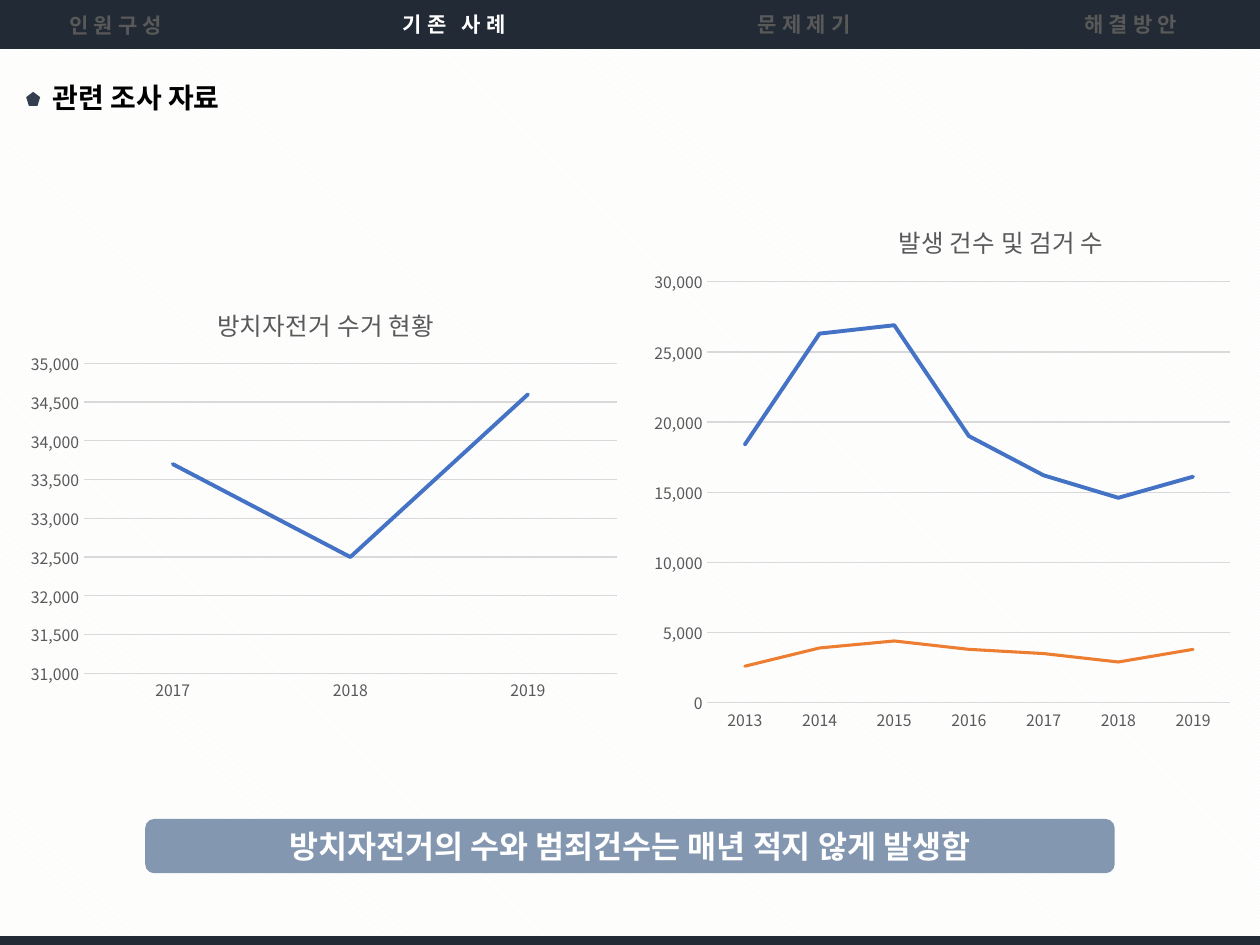
from lxml.etree import SubElement
from pptx import Presentation
from pptx.chart.data import CategoryChartData as Data
from pptx.dml.color import RGBColor
from pptx.enum.chart import XL_CHART_TYPE as Kind, XL_TICK_MARK as Tick
from pptx.enum.dml import MSO_PATTERN as Pattern
from pptx.enum.shapes import MSO_SHAPE as Form
from pptx.enum.text import MSO_ANCHOR as Anchor, PP_ALIGN as Align
from pptx.oxml import parse_xml
from pptx.oxml.ns import nsdecls, qn
from pptx.util import Pt

FACE = "Noto Sans CJK KR"
NAVY, GREY, RULE = "222A35", "595959", "D9D9D9"
BLUE, ORANGE = "4472C4", "ED7D31"


def paint(color, code):
    color.rgb = RGBColor.from_string(code)


def pts(*nums):
    return [Pt(n) for n in nums]


def style(font, size, code, bold=False):
    font.name, font.size, font.bold = FACE, Pt(size), bold
    font.fill.solid()
    paint(font.fill.fore_color, code)
    SubElement(font._element, qn("a:ea"), typeface=FACE)


def add_run(para, text, size, code, bold=True, gap=0):
    """Add one run; gap is the letter spacing in points."""
    run = para.add_run()
    run.text = text
    style(run.font, size, code, bold)
    if gap:
        run.font._element.set("spc", str(gap * 100))


def add_form(slide, form, box, code):
    shape = slide.shapes.add_shape(form, *pts(*box))
    shape.shadow.inherit = False
    shape.fill.solid()
    paint(shape.fill.fore_color, code)
    shape.line.fill.background()
    return shape


def add_tab(slide, text, left, top, width, code, align):
    frame = slide.shapes.add_textbox(*pts(left, top, width, 21.5)).text_frame
    frame.word_wrap = False
    para = frame.paragraphs[0]
    para.alignment = align
    add_run(para, text, 12, code, gap=3)


def set_title(slide, text):
    title = slide.shapes.title
    title.left, title.top, title.width, title.height = pts(23, 42.5, 376, 26.5)
    frame = title.text_frame
    frame.word_wrap = True
    frame.vertical_anchor = Anchor.TOP
    para = frame.paragraphs[0]
    para.alignment = Align.LEFT
    add_run(para, text, 16, "000000")


def place(node, spot, inner=False):
    """Fix a chart part at x, y (and w, h) given as shares of the chart."""
    old = node.find(qn("c:layout"))
    if old is not None:
        node.remove(old)
    lay = parse_xml(f"<c:layout {nsdecls('c')}><c:manualLayout/></c:layout>")
    if inner:
        SubElement(lay[0], qn("c:layoutTarget"), val="inner")
    for key in "xy":
        SubElement(lay[0], qn(f"c:{key}Mode"), val="edge")
    for key, share in zip("xywh", spot):
        SubElement(lay[0], qn(f"c:{key}"), val=str(share))
    node.insert(0 if inner else 1, lay)


def set_axes(chart, low, high, step):
    val, cat = chart.value_axis, chart.category_axis
    val.minimum_scale, val.maximum_scale, val.major_unit = low, high, step
    val.has_major_gridlines = True
    val.tick_labels.number_format = "#,##0"
    val.tick_labels.number_format_is_linked = False
    val.format.line.fill.background()
    for line in (val.major_gridlines.format.line, cat.format.line):
        line.width = Pt(0.75)
        paint(line.color, RULE)
    for axis in (val, cat):
        axis.major_tick_mark = axis.minor_tick_mark = Tick.NONE
        style(axis.tick_labels.font, 9, GREY)


def add_graph(slide, kind, box, title, spot, plot, years, rows, scale):
    """Add a line chart; each row holds values, colour and line width."""
    data = Data(number_format="#,##0")
    data.categories = [str(year) for year in years]
    for num, (vals, _, _) in enumerate(rows, 1):
        data.add_series(f"Series {num}", vals)
    chart = slide.shapes.add_chart(kind, *pts(*box), data).chart
    style(chart.font, 10, "000000")
    chart.has_legend = False
    chart.has_title = True
    add_run(chart.chart_title.text_frame.paragraphs[0], title, 14, GREY, False)
    root = chart._chartSpace.chart
    place(root.find(qn("c:title")), spot)
    place(root.plotArea, plot, inner=True)
    set_axes(chart, *scale)
    chart.plots[0].vary_by_categories = False
    for line, (_, code, width) in zip(chart.plots[0].series, rows):
        line.smooth = False
        line.format.line.width = Pt(width)
        paint(line.format.line.color, code)
        line.format.line._get_or_add_ln().set("cap", "rnd")


def main():
    deck = Presentation()
    deck.slide_width, deck.slide_height = pts(720, 540)
    slide = deck.slides.add_slide(deck.slide_layouts[5])
    fill = slide.background.fill
    fill.patterned()
    fill.pattern = Pattern.LIGHT_DOWNWARD_DIAGONAL
    paint(fill.fore_color, "F4F5F1")
    paint(fill.back_color, "FFFFFF")

    add_form(slide, Form.RECTANGLE, (0, 0, 720, 28), NAVY)
    add_form(slide, Form.RECTANGLE, (0, 535, 720, 5), NAVY)
    add_form(slide, Form.REGULAR_PENTAGON, (15, 52.5, 8, 8), "333F50")
    for tab in (
        ("인원구성", 32.5, 3.5, 75, GREY, Align.LEFT),
        ("기존 사례", 223, 3, 83, "FFFFFF", Align.LEFT),
        ("문제제기", 422, 3, 75, GREY, Align.CENTER),
        ("해결방안", 612.5, 3, 75, GREY, Align.LEFT),
    ):
        add_tab(slide, *tab)
    set_title(slide, "관련 조사 자료")

    add_graph(slide, Kind.LINE, (9.5, 158.5, 350, 246),
              "방치자전거 수거 현황", (0.32, 0.05), (0.11, 0.2, 0.87, 0.72),
              range(2017, 2020), [((33700, 32500, 34600), BLUE, 2.25)],
              (31000, 35000, 500))
    found = (2600, 3900, 4400, 3800, 3500, 2900, 3800)
    cases = (15800, 22400, 22500, 15200, 12700, 11700, 12300)
    add_graph(slide, Kind.LINE_STACKED, (366.5, 111, 343.5, 312.5),
              "발생 건수 및 검거 수", (0.42, 0.04), (0.11, 0.16, 0.87, 0.77),
              range(2013, 2020), [(found, ORANGE, 1.75), (cases, BLUE, 2.25)],
              (0, 30000, 5000))

    note = add_form(slide, Form.ROUNDED_RECTANGLE, (83, 468, 554, 31), "8497B0")
    note.text_frame.vertical_anchor = Anchor.MIDDLE
    para = note.text_frame.paragraphs[0]
    para.alignment = Align.CENTER
    add_run(para, "방치자전거의 수와 범죄건수는 매년 적지 않게 발생함", 18, "FFFFFF")
    deck.save("out.pptx")


if __name__ == "__main__":
    main()
